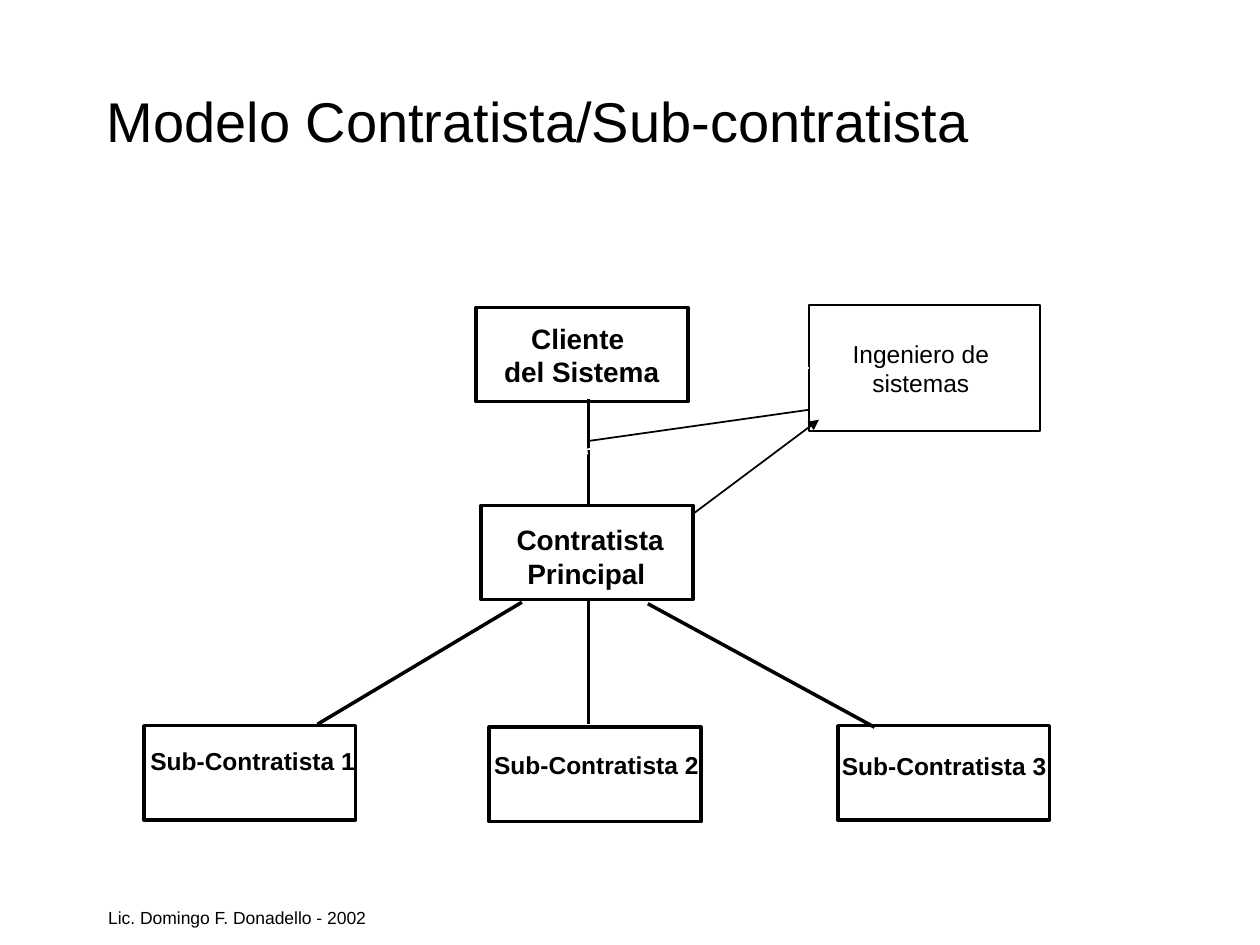
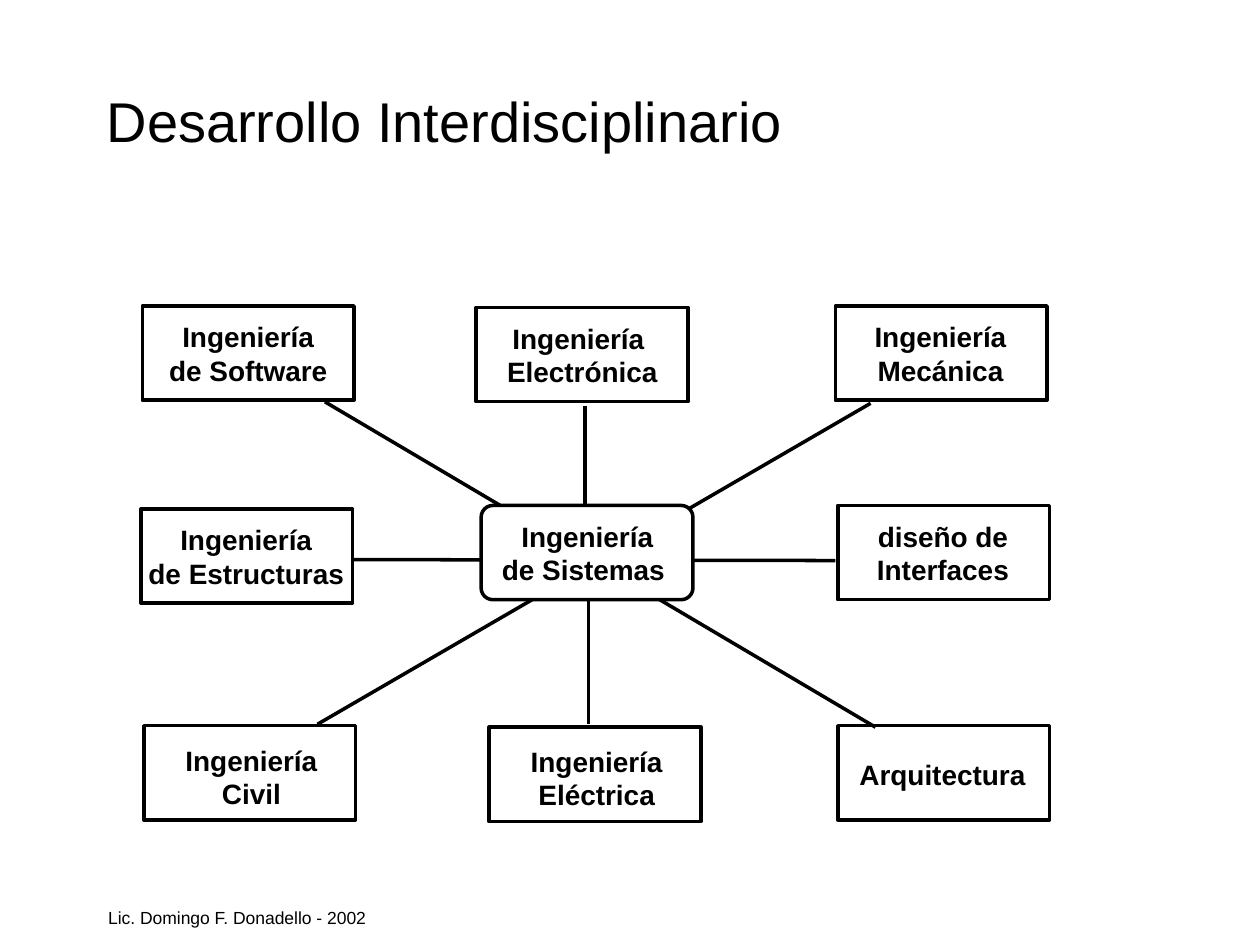
from dataclasses import dataclass

from lxml.etree import SubElement
from pptx import Presentation
from pptx.dml.color import RGBColor as Rgb
from pptx.enum.shapes import MSO_CONNECTOR as Conn, MSO_SHAPE as Kind
from pptx.enum.text import MSO_ANCHOR as Anchor, PP_ALIGN as Align
from pptx.oxml.ns import qn
from pptx.slide import Slide
from pptx.text.text import TextFrame
from pptx.util import Cm, Pt

FONT = "Arial"
COLORS = {"ink": "000000", "paper": "FFFFFF"}
FOOTER = "Lic. Domingo F. Donadello - 2002"


@dataclass(frozen=True)
class Box:
    x: float
    y: float
    w: float = 4.27
    h: float = 1.9
    text: str = ""
    fill: str = ""
    line: float = 2
    round: bool = False


@dataclass(frozen=True)
class Label:
    text: str
    x: float
    y: float
    w: float = 3.18
    size: int = 16

    @property
    def h(self) -> float:
        lines = self.text.count("\n") + 1
        return 0.3 + lines * self.size * 0.04


@dataclass(frozen=True)
class Link:
    x1: float
    y1: float
    x2: float
    y2: float
    color: str = "ink"
    width: float = 2
    arrow: bool = False


Item = Box | Label | Link

# Boxes and the link that both diagrams share
TOP = Box(9.6, 6.2)
HUB = (9.7, 10.19)
BASE = [Box(9.86, 14.66), Box(2.9, 14.63), Box(16.89, 14.63)]
STEM = Link(11.86, 12.07, 11.86, 14.6)

MODEL: list[Item] = [
    Label("Cliente \ndel Sistema", 9.91, 6.35, 3.63),
    TOP,
    Label("Contratista\nPrincipal ", 10.16, 10.41, 3.48),
    Box(*HUB),
    *BASE,
    Label("Sub-Contratista 1", 2.77, 14.91, 4.65, 14),
    Label("Sub-Contratista 2", 9.7, 14.99, 4.65, 14),
    Label("Sub-Contratista 3", 16.71, 15.01, 4.65, 14),
    Link(10.52, 12.14, 6.4, 14.6),
    Link(13.06, 12.17, 17.63, 14.66),
    STEM,
    Link(11.86, 10.16, 11.86, 8.05),
    Box(16.31, 6.15, 4.65, 2.54, "Ingeniero de \vsistemas ", "paper", 1),
    Link(15.88, 8.46, 11.63, 9.09, "paper", 1, True),
    Link(16.31, 8.26, 11.86, 8.89, width=1),
    Link(13.97, 7.42, 16.31, 7.42, "paper", 1),
    Link(13.97, 10.36, 16.51, 8.46, width=1, arrow=True),
]

FIELDS: list[Item] = [
    Link(7.11, 11.28, 16.84, 11.3),
    Link(6.55, 8.1, 17.65, 14.66),
    Link(11.79, 8.18, 11.79, 10.24),
    Link(17.55, 8.13, 6.4, 14.6),
    TOP,
    *BASE,
    Box(2.87, 6.17),
    Box(16.84, 6.17),
    Box(16.89, 10.19),
    Box(2.84, 10.26),
    Label("Ingeniería \nElectrónica", 9.96, 6.35, 3.56),
    Label("Ingeniería\nde Software", 3.15, 6.32, 3.71),
    Label("Ingeniería\nMecánica", 17.37, 6.32),
    Label("diseño de\nInterfaces", 17.42, 10.34),
    Label("Ingeniería\nde Estructuras", 2.74, 10.41, 4.45),
    Label("Ingeniería\nCivil", 3.48, 14.86),
    Label("Ingeniería\nEléctrica", 10.44, 14.88),
    Label("Arquitectura", 17.07, 15.14, 3.86),
    Box(*HUB, fill="paper", round=True),
    Label("Ingeniería\nde Sistemas ", 9.86, 10.34, 3.96),
    STEM,
]


def tint(name: str) -> Rgb:
    return Rgb.from_string(COLORS[name])


def write(frame: TextFrame, text: str, size: int, bold: bool = False,
          align: Align = Align.CENTER, anchor: Anchor = Anchor.TOP,
          wrap: bool = False) -> None:
    frame.text = text
    frame.word_wrap = wrap
    frame.vertical_anchor = anchor
    for para in frame.paragraphs:
        para.alignment = align
        for run in para.runs:
            font = run.font
            font.name, font.size, font.bold = FONT, Pt(size), bold
            font.color.rgb = tint("ink")


def add_text(slide: Slide, x: float, y: float, w: float, h: float) -> TextFrame:
    return slide.shapes.add_textbox(Cm(x), Cm(y), Cm(w), Cm(h)).text_frame


def draw_box(slide: Slide, box: Box) -> None:
    kind = Kind.ROUNDED_RECTANGLE if box.round else Kind.RECTANGLE
    shape = slide.shapes.add_shape(
        kind, Cm(box.x), Cm(box.y), Cm(box.w), Cm(box.h))
    shape.shadow.inherit = False
    if box.round:
        shape.adjustments[0] = 0.125
    if box.fill:
        shape.fill.solid()
        shape.fill.fore_color.rgb = tint(box.fill)
    else:
        shape.fill.background()
    shape.line.color.rgb = tint("ink")
    shape.line.width = Pt(box.line)
    if box.text:
        write(shape.text_frame, box.text, 14, anchor=Anchor.MIDDLE)


def draw_label(slide: Slide, label: Label) -> None:
    frame = add_text(slide, label.x, label.y, label.w, label.h)
    write(frame, label.text, label.size, bold=True)


def draw_link(slide: Slide, link: Link) -> None:
    line = slide.shapes.add_connector(
        Conn.STRAIGHT, Cm(link.x1), Cm(link.y1), Cm(link.x2), Cm(link.y2))
    line.line.color.rgb = tint(link.color)
    line.line.width = Pt(link.width)
    if link.arrow:
        SubElement(line.line._get_or_add_ln(), qn("a:tailEnd"), type="triangle")
    SubElement(line._element.spPr, qn("a:effectLst"))


DRAW = {Box: draw_box, Label: draw_label, Link: draw_link}


def add_slide(deck: Presentation, title: str, items: list[Item]) -> None:
    slide = deck.slides.add_slide(deck.slide_layouts[6])
    write(add_text(slide, 1.93, 18.16, 5.74, 0.69), FOOTER, 10,
          align=Align.LEFT)
    write(add_text(slide, 1.9, 0.84, 21.59, 3.18), title, 32,
          align=Align.LEFT, anchor=Anchor.MIDDLE, wrap=True)
    for item in items:
        DRAW[type(item)](slide, item)


def main() -> None:
    deck = Presentation()
    deck.slide_width, deck.slide_height = Cm(25.4), Cm(19.05)
    add_slide(deck, "Modelo Contratista/Sub-contratista", MODEL)
    add_slide(deck, "Desarrollo Interdisciplinario", FIELDS)
    deck.save("out.pptx")


if __name__ == "__main__":
    main()
